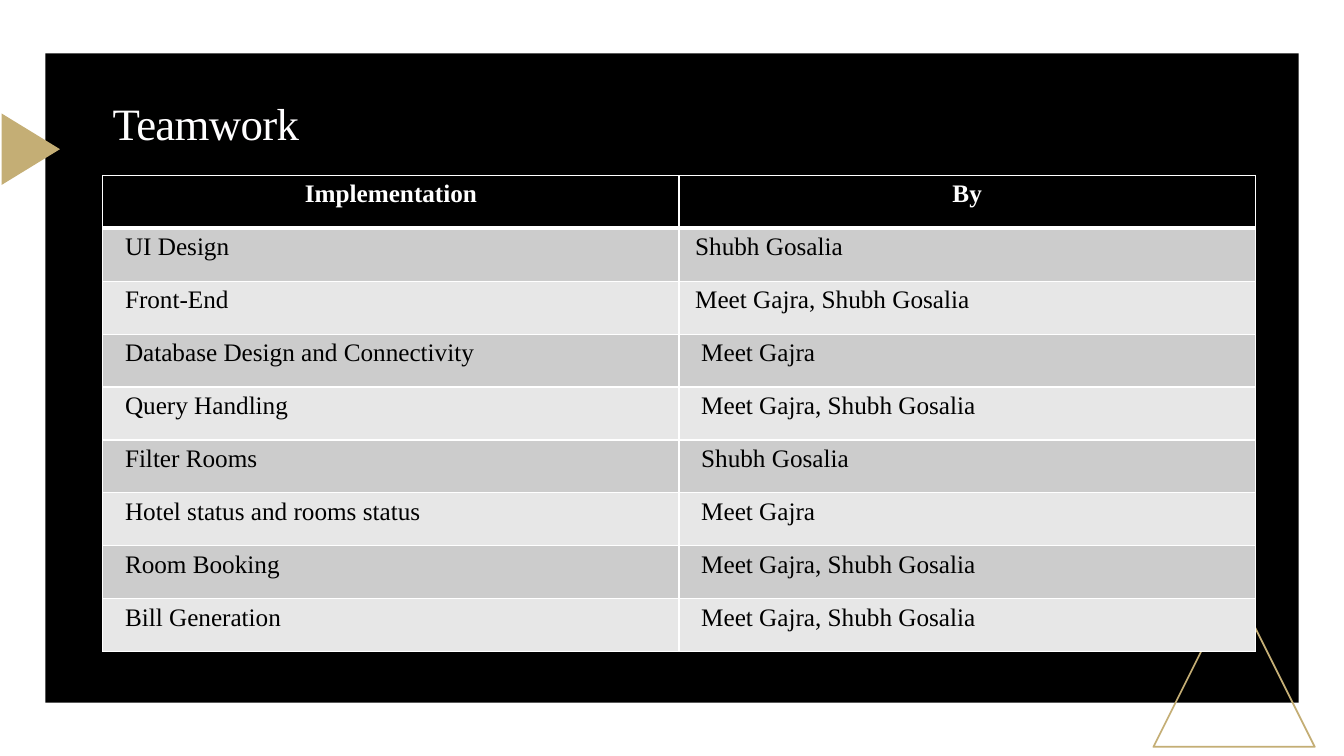
from lxml import etree
from pptx import Presentation
from pptx.dml.color import RGBColor
from pptx.enum.shapes import MSO_SHAPE
from pptx.enum.text import MSO_ANCHOR, PP_ALIGN
from pptx.oxml.ns import qn
from pptx.util import Inches, Pt

RECTANGLE, TRIANGLE = MSO_SHAPE.RECTANGLE, MSO_SHAPE.ISOSCELES_TRIANGLE
CENTER, LEFT, MIDDLE = PP_ALIGN.CENTER, PP_ALIGN.LEFT, MSO_ANCHOR.MIDDLE

# Content
TITLE = "Teamwork"
HEADER = ("Implementation", "By")
TASKS = [
    ("UI Design", "Shubh Gosalia"),
    ("Front-End", "Meet Gajra, Shubh Gosalia"),
    ("Database Design and Connectivity", "Meet Gajra"),
    ("Query Handling", "Meet Gajra, Shubh Gosalia"),
    ("Filter Rooms", "Shubh Gosalia"),
    ("Hotel status and rooms status", "Meet Gajra"),
    ("Room Booking", "Meet Gajra, Shubh Gosalia"),
    ("Bill Generation", "Meet Gajra, Shubh Gosalia"),
]

# Look and layout, lengths in inches
FONT = "Times New Roman"
BLACK, WHITE, TITLE_WHITE, GOLD = "000000", "FFFFFF", "FFFEFF", "C4AE75"
BANDS = ("CCCCCC", "E7E7E7")
WIDTH, HEIGHT = 13.33, 7.5
PANEL_X, PANEL_Y = 0.45, 0.53
CONTENT_X, CONTENT_WIDTH = 1.02, 11.43
TITLE_Y, TITLE_HEIGHT = 0.75, 1
TABLE_Y, ROW_HEIGHT = 1.74, 0.525
INDENT, SMALL_INDENT = 0.22, 0.16
SMALL_INDENT_ROWS = (1, 2)  # names in the first two task rows sit further left


def color(value):
    return RGBColor.from_string(value)


def place(left, top, width, height):
    return [Inches(length) for length in (left, top, width, height)]


def add_figure(page, kind, area, fill=None, line=None, rotation=0):
    shape = page.shapes.add_shape(kind, *place(*area))
    shape.shadow.inherit = False
    shape.rotation = rotation
    if fill:
        shape.fill.solid()
        shape.fill.fore_color.rgb = color(fill)
    else:
        shape.fill.background()
    if line:
        shape.line.color.rgb = color(line)
        shape.line.width = Pt(1.25)
    else:
        shape.line.fill.background()


def write(frame, text, ink, align=LEFT, **font_format):
    para = frame.paragraphs[0]
    para.alignment = align
    span = para.add_run()
    span.text = text
    span.font.color.rgb = color(ink)
    for name, value in {"name": FONT, **font_format}.items():
        setattr(span.font, name, value)
    return para, span


def add_borders(cell, widths):
    properties = cell._tc.get_or_add_tcPr()
    for side, width in widths.items():
        line = etree.SubElement(properties, qn(f"a:ln{side}"), w=str(Pt(width)))
        fill = etree.SubElement(line, qn("a:solidFill"))
        etree.SubElement(fill, qn("a:srgbClr"), val=WHITE)


def add_task_table(page):
    rows = [HEADER, *TASKS]
    area = place(CONTENT_X, TABLE_Y, CONTENT_WIDTH, ROW_HEIGHT * len(rows))
    table = page.shapes.add_table(len(rows), len(HEADER), *area).table
    for column in table.columns:
        column.width = Inches(CONTENT_WIDTH / len(HEADER))
    for r, texts in enumerate(rows):
        table.rows[r].height = Inches(ROW_HEIGHT)
        is_header = r == 0
        for c, text in enumerate(texts):
            cell = table.cell(r, c)
            # The rule under the header is heavier than the others
            add_borders(cell, {"L": 1, "R": 1, "T": 3 if r == 1 else 1,
                               "B": 3 if is_header else 1})
            cell.fill.solid()
            cell.fill.fore_color.rgb = color(BLACK if is_header else BANDS[(r - 1) % 2])
            if not is_header:
                small = c == 1 and r in SMALL_INDENT_ROWS
                cell.margin_left = Inches(SMALL_INDENT if small else INDENT)
            write(cell.text_frame, text, WHITE if is_header else BLACK,
                  CENTER if is_header else LEFT, size=Pt(18), bold=is_header)


def add_title(page):
    box = page.shapes.add_textbox(*place(CONTENT_X, TITLE_Y, CONTENT_WIDTH, TITLE_HEIGHT))
    frame = box.text_frame
    frame.word_wrap = True
    frame.vertical_anchor = MIDDLE
    para, span = write(frame, TITLE, TITLE_WHITE, size=Pt(32))
    para.line_spacing = 0.9
    span.font._element.set("spc", "-50")


def main():
    deck = Presentation()
    deck.slide_width, deck.slide_height = Inches(WIDTH), Inches(HEIGHT)
    page = deck.slides.add_slide(deck.slide_layouts[6])

    # Black panel and gold triangles
    panel = (PANEL_X, PANEL_Y, WIDTH - 2 * PANEL_X, HEIGHT - 2 * PANEL_Y)
    add_figure(page, RECTANGLE, panel, fill=BLACK)
    add_figure(page, TRIANGLE, (11.44, 5.81, 1.6, 1.6), line=GOLD)
    add_figure(page, TRIANGLE, (-0.05, 1.19, 0.71, 0.58), fill=GOLD, rotation=90)

    # Table and title
    add_task_table(page)
    add_title(page)
    deck.save("out.pptx")


if __name__ == "__main__":
    main()
